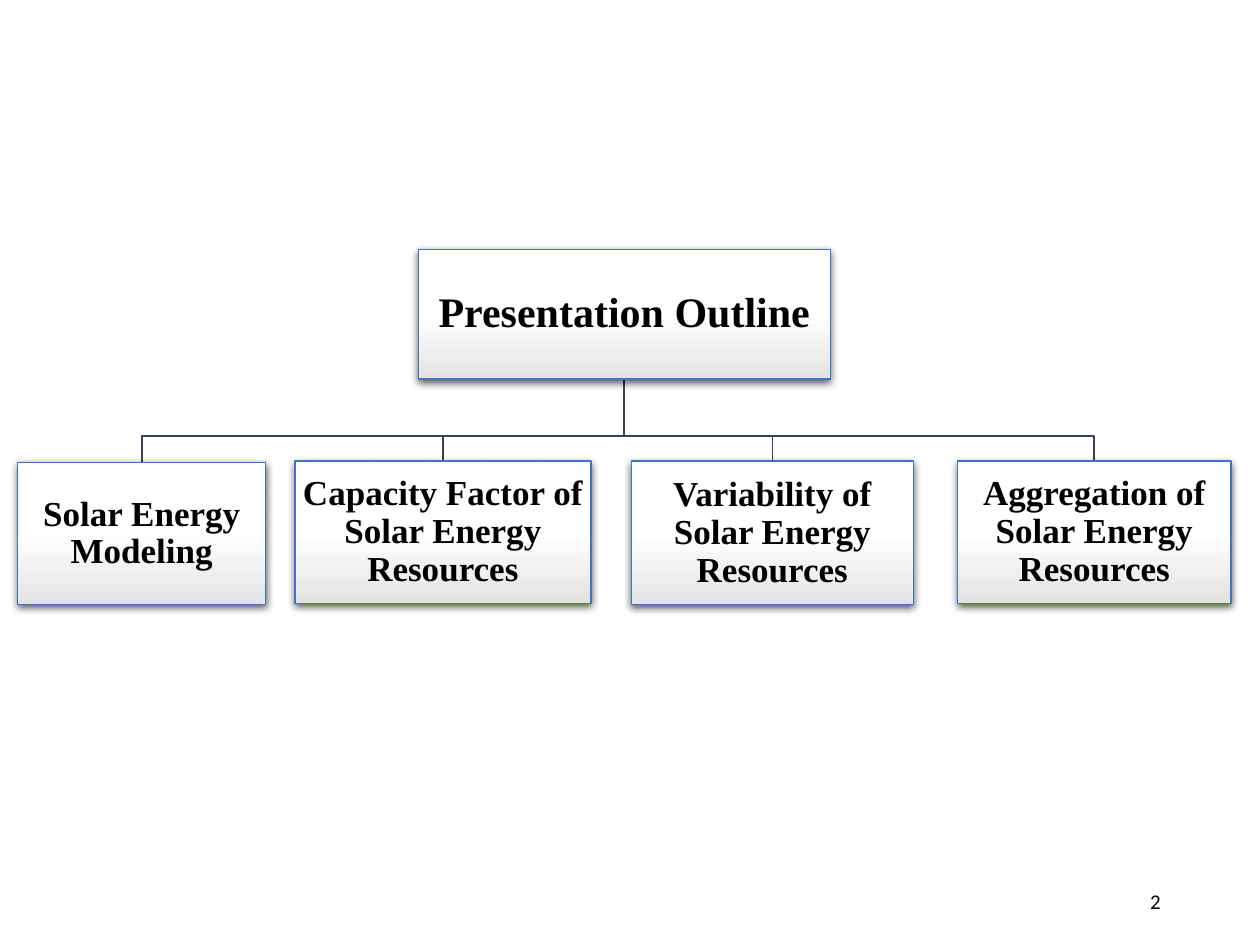
from dataclasses import dataclass

from lxml.etree import SubElement
from pptx import Presentation
from pptx.dml.color import RGBColor
from pptx.enum.shapes import MSO_SHAPE
from pptx.enum.text import MSO_ANCHOR, PP_ALIGN
from pptx.oxml.ns import qn
from pptx.util import Inches, Pt


@dataclass(frozen=True)
class Theme:
    """Colours, fonts and type sizes of the slide."""
    ink: RGBColor = RGBColor(0, 0, 0)
    edge: RGBColor = RGBColor(0x44, 0x72, 0xC4)
    link: RGBColor = RGBColor(0x36, 0x43, 0x55)
    light: RGBColor = RGBColor(0xFF, 0xFF, 0xFF)
    shade: RGBColor = RGBColor(0xE3, 0xE3, 0xE3)
    serif: str = "Times New Roman"
    sans: str = "Calibri"
    head: Pt = Pt(24)
    body: Pt = Pt(20)
    note: Pt = Pt(12)


THEME = Theme()
ROOT = ("Presentation Outline", (3.32, 1.98, 3.27, 1.03))
LEAVES = [
    ("Solar Energy Modeling", (0.14, 3.67, 1.97, 1.13)),
    ("Capacity Factor of Solar Energy Resources", (2.34, 3.66, 2.35, 1.13)),
    ("Variability of Solar Energy Resources", (5.01, 3.66, 2.24, 1.14)),
    ("Aggregation of Solar Energy Resources", (7.6, 3.66, 2.17, 1.13)),
]


def apply(target, values):
    """Set each named attribute on the target."""
    for name, value in values.items():
        setattr(target, name, value)


def write(shape, text, font, align, pad=None, lead=None):
    """Put one formatted paragraph in a shape."""
    frame = shape.text_frame
    apply(frame, {"word_wrap": True, "vertical_anchor": MSO_ANCHOR.MIDDLE})
    if pad is not None:
        sides = ("left", "top", "right", "bottom")
        apply(frame, {f"margin_{side}": Inches(pad) for side in sides})
    para = frame.paragraphs[0]
    apply(para, {"alignment": align, "line_spacing": lead})
    run = para.add_run()
    run.text = text
    apply(run.font, font)
    run.font.color.rgb = THEME.ink


def add_glow(shape):
    """Give a shape a soft shadow that falls downward."""
    shape.shadow.inherit = False
    effects = shape._element.spPr.find(qn("a:effectLst"))
    drop = SubElement(effects, qn("a:outerShdw"), blurRad=str(Pt(4.5)),
                      dist=str(Pt(1.5)), dir="5400000", rotWithShape="0")
    color = SubElement(drop, qn("a:srgbClr"), val="000000")
    SubElement(color, qn("a:alpha"), val="63000")


def add_node(slide, text, box, size, pad):
    """Draw one shaded chart box with its label."""
    node = slide.shapes.add_shape(MSO_SHAPE.RECTANGLE, *map(Inches, box))
    node.fill.gradient()
    node.fill.gradient_angle = 270
    tones = ((0.5, THEME.light), (1, THEME.shade))
    for stop, (place, tone) in zip(node.fill.gradient_stops, tones):
        stop.position = place
        stop.color.rgb = tone
    node.line.color.rgb = THEME.edge
    node.line.width = Pt(0.75)
    add_glow(node)
    font = {"name": THEME.serif, "size": size, "bold": True}
    write(node, text, font, PP_ALIGN.CENTER, pad, 0.9)


def add_link(slide, root, leaf, drop=0.2):
    """Draw the bent line from the root box down to a leaf box."""
    start, end = (box[0] + box[2] / 2 for box in (root, leaf))
    base, top = root[1] + root[3], leaf[1]
    bend = LEAVES[-1][1][1] - drop
    points = [(start, bend), (end, bend), (end, top)]
    pen = slide.shapes.build_freeform(Inches(start), Inches(base))
    pen.add_line_segments([(Inches(x), Inches(y)) for x, y in points],
                          close=False)
    link = pen.convert_to_shape()
    link.fill.background()
    link.line.color.rgb = THEME.link
    link.line.width = Pt(1)
    link.shadow.inherit = False


def add_tree(slide, root, leaves):
    """Draw the outline chart, with its links behind the boxes."""
    for _, box in reversed(leaves):
        add_link(slide, root[1], box)
    add_node(slide, *root, THEME.head, 0.02)
    for text, box in leaves:
        add_node(slide, text, box, THEME.body, 0.01)


def add_number(slide, text, box):
    """Place the slide number."""
    label = slide.shapes.add_textbox(*map(Inches, box))
    font = {"name": THEME.sans, "size": THEME.note}
    write(label, text, font, PP_ALIGN.RIGHT)


def main():
    """Build and save the slide."""
    deck = Presentation()
    apply(deck, {"slide_width": Inches(10), "slide_height": Inches(7.5)})
    slide = deck.slides.add_slide(deck.slide_layouts[6])
    add_number(slide, "2", (7.06, 6.95, 2.25, 0.4))
    add_tree(slide, ROOT, LEAVES)
    deck.save("out.pptx")


if __name__ == "__main__":
    main()
